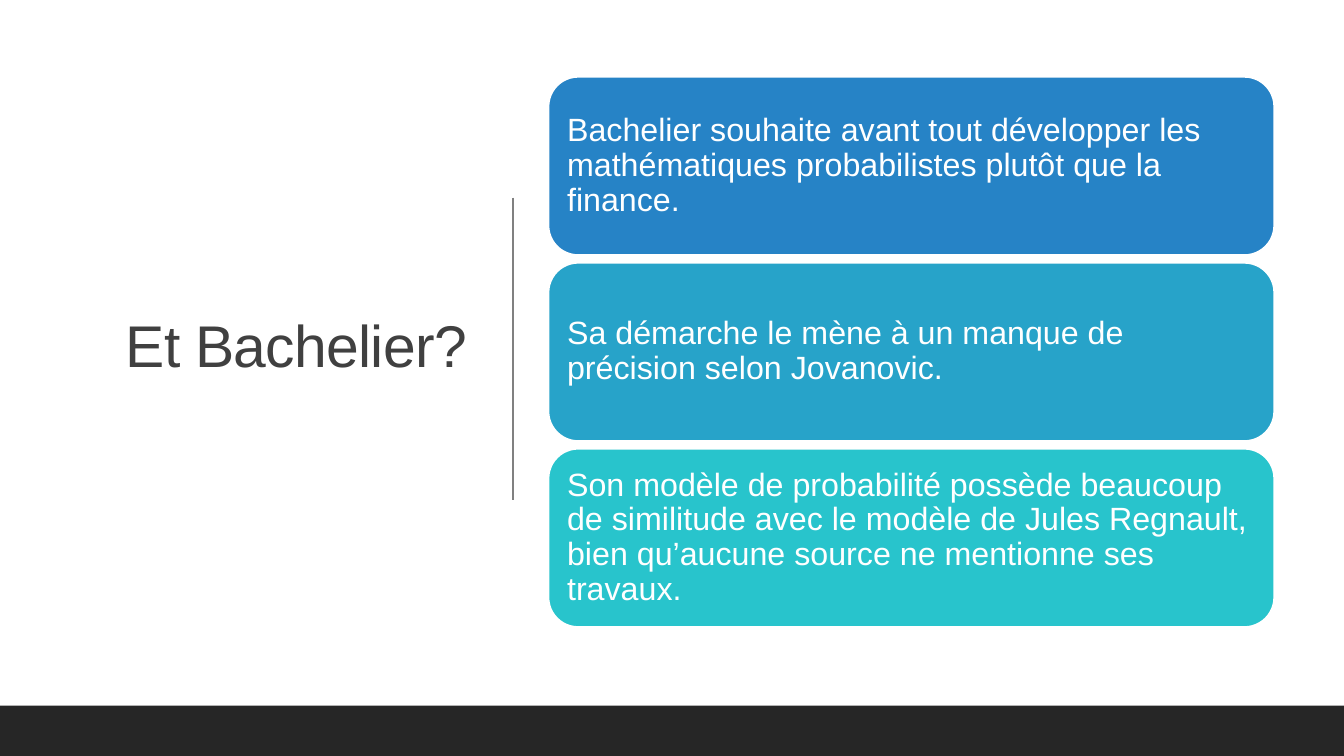
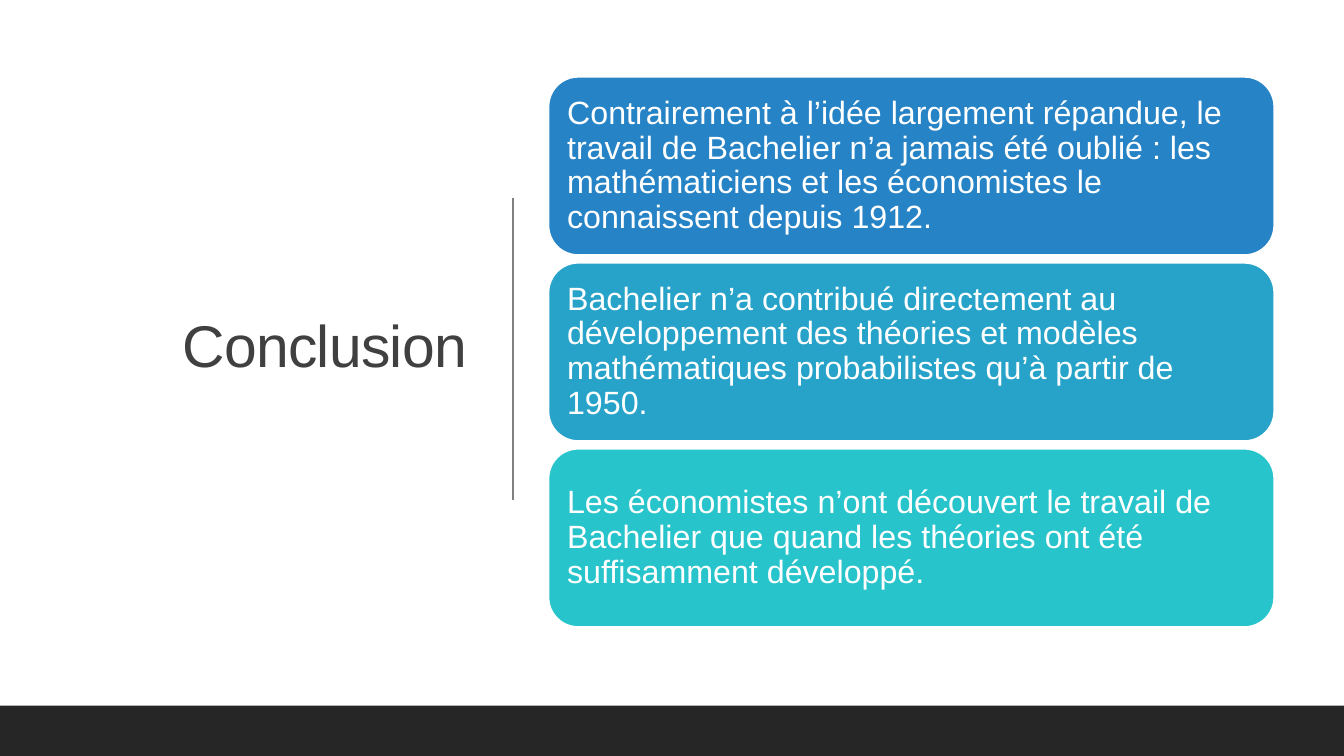
import dataclasses

import pptx
import pptx.dml.color
import pptx.enum.shapes
import pptx.enum.text
import pptx.util
from lxml import etree

Pt = pptx.util.Pt
Color = pptx.dml.color.RGBColor.from_string
Anchor = pptx.enum.text.MSO_ANCHOR
Align = pptx.enum.text.PP_ALIGN
Shape = pptx.enum.shapes.MSO_SHAPE


@dataclasses.dataclass(frozen=True)
class Theme:
    """Colours, font and type sizes shared by the slides."""

    font: str = "Arial"
    title_size: float = 42
    card_size: float = 23
    line_spacing: float = 0.9
    title_color: str = "404040"
    rule_color: str = "808080"
    band_color: str = "262626"
    paper: str = "FFFFFF"
    cards: tuple = ("2683C6", "27A3C9", "28C4CC")


@dataclasses.dataclass(frozen=True)
class Box:
    """A rectangle in points."""

    left: float
    top: float
    width: float
    height: float

    def lengths(self):
        """Return left, top, width and height as slide lengths."""
        return [Pt(value) for value in dataclasses.astuple(self)]


THEME = Theme()
PAGE = Box(0, 0, 960, 540)
BAND = Box(0, 504, 960, 36)
TITLE = Box(50.4, 49.7, 290.2, 398.2)
RULE = Box(366.5, 141.1, 0, 216)
CARDS = Box(391.8, 54.9, 518.4, 393)
CARD_GAP = 5.5

SLIDES = [
    ("Et Bachelier?", [
        "Bachelier souhaite avant tout développer les mathématiques probabilistes plutôt que la finance.",
        "Sa démarche le mène à un manque de précision selon Jovanovic.",
        "Son modèle de probabilité possède beaucoup de similitude avec le modèle de Jules Regnault, "
        "bien qu’aucune source ne mentionne ses travaux.",
    ]),
    ("Conclusion", [
        "Contrairement à l’idée largement répandue, le travail de Bachelier n’a jamais été oublié : "
        "les mathématiciens et les économistes le connaissent depuis 1912.",
        "Bachelier n’a contribué directement au développement des théories et modèles mathématiques "
        "probabilistes qu’à partir de 1950.",
        "Les économistes n’ont découvert le travail de Bachelier que quand les théories ont été "
        "suffisamment développé.",
    ]),
]


def write(shape, text, size, color, align):
    """Put one vertically centred paragraph in a shape and return its run."""
    frame = shape.text_frame
    frame.text = text
    frame.word_wrap = True
    frame.auto_size = pptx.enum.text.MSO_AUTO_SIZE.NONE
    frame.vertical_anchor = Anchor.MIDDLE
    para = frame.paragraphs[0]
    para.alignment = align
    para.line_spacing = THEME.line_spacing
    span = para.runs[0]
    span.font.name = THEME.font
    span.font.size = Pt(size)
    span.font.color.rgb = Color(color)
    return span


def add_panel(page, kind, box, fill):
    """Add a filled shape without shadow or outline."""
    panel = page.shapes.add_shape(kind, *box.lengths())
    panel.shadow.inherit = False
    panel.fill.solid()
    panel.fill.fore_color.rgb = Color(fill)
    panel.line.fill.background()
    return panel


def add_title(page, box, text):
    """Place the right-aligned title in its box."""
    title = page.shapes.title
    title.left, title.top, title.width, title.height = box.lengths()
    span = write(title, text, THEME.title_size, THEME.title_color, Align.RIGHT)
    span.font._element.set("spc", "-50")


def add_rule(page, box):
    """Draw the thin line between title and cards."""
    left, top, width, height = box.lengths()
    rule = page.shapes.add_connector(
        pptx.enum.shapes.MSO_CONNECTOR.STRAIGHT, left, top, left + width, top + height)
    rule.line.color.rgb = Color(THEME.rule_color)
    rule.line.width = Pt(1)
    etree.SubElement(rule._element.spPr, pptx.oxml.ns.qn("a:effectLst"))


def add_cards(page, box, texts):
    """Stack equal rounded cards that fill the box."""
    height = (box.height - CARD_GAP * (len(texts) - 1)) / len(texts)
    for index, (text, fill) in enumerate(zip(texts, THEME.cards)):
        place = Box(box.left, box.top + index * (height + CARD_GAP), box.width, height)
        card = add_panel(page, Shape.ROUNDED_RECTANGLE, place, fill)
        card.line.color.rgb = Color(THEME.paper)
        card.line.width = Pt(1.25)
        frame = card.text_frame
        frame.margin_left = frame.margin_right = frame.margin_top = frame.margin_bottom = Pt(7.2)
        write(card, text, THEME.card_size, THEME.paper, Align.LEFT)


def add_card_slide(deck, heading, texts):
    """Add a slide with a title on the left and cards on the right."""
    page = deck.slides.add_slide(deck.slide_layouts.get_by_name("Title Only"))
    page.background.fill.solid()
    page.background.fill.fore_color.rgb = Color(THEME.paper)
    add_title(page, TITLE, heading)
    add_rule(page, RULE)
    add_panel(page, Shape.RECTANGLE, BAND, THEME.band_color)
    add_cards(page, CARDS, texts)


def main():
    """Build and save the deck."""
    deck = pptx.Presentation()
    deck.slide_width, deck.slide_height = Pt(PAGE.width), Pt(PAGE.height)
    for heading, texts in SLIDES:
        add_card_slide(deck, heading, texts)
    deck.save("out.pptx")


if __name__ == "__main__":
    main()
